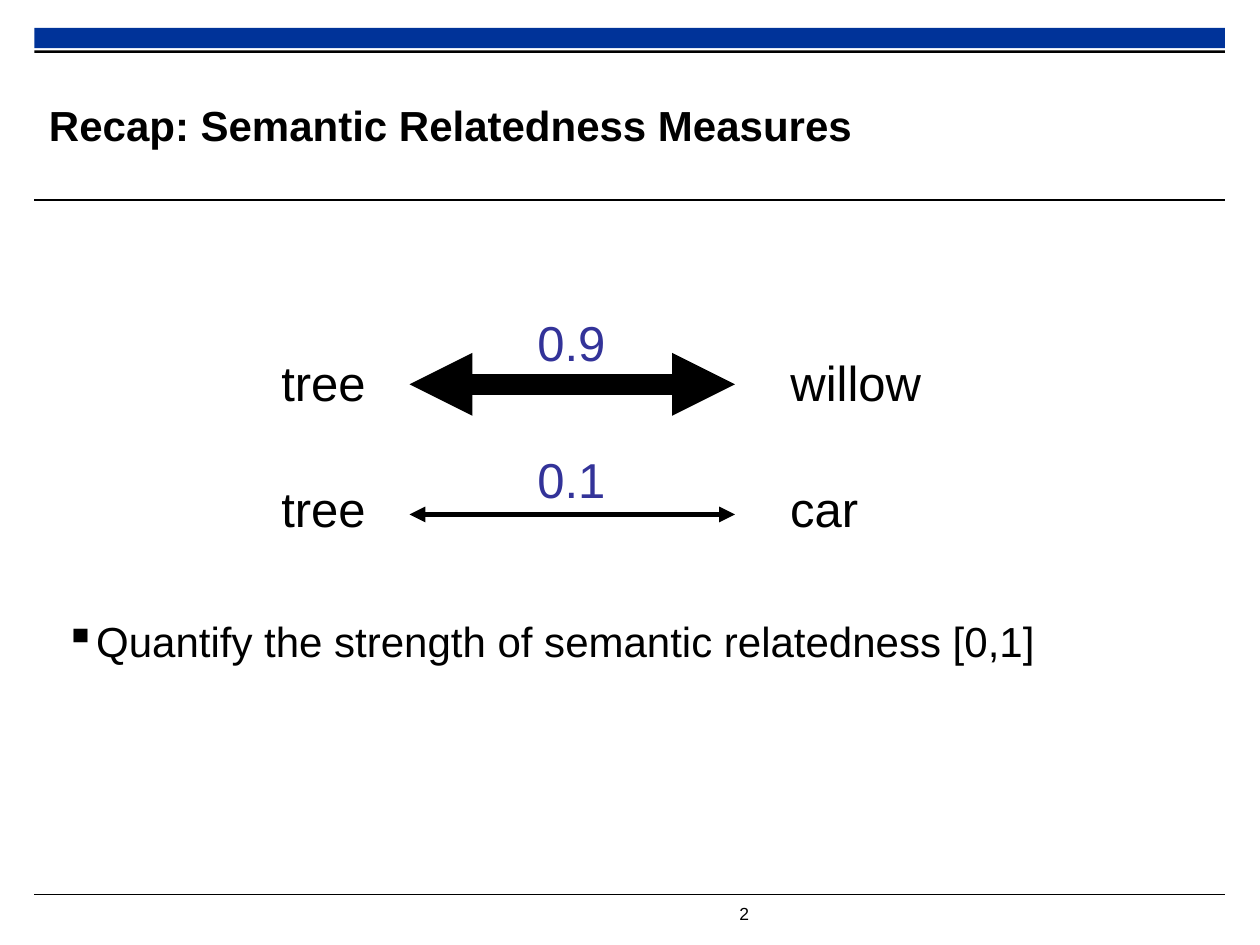
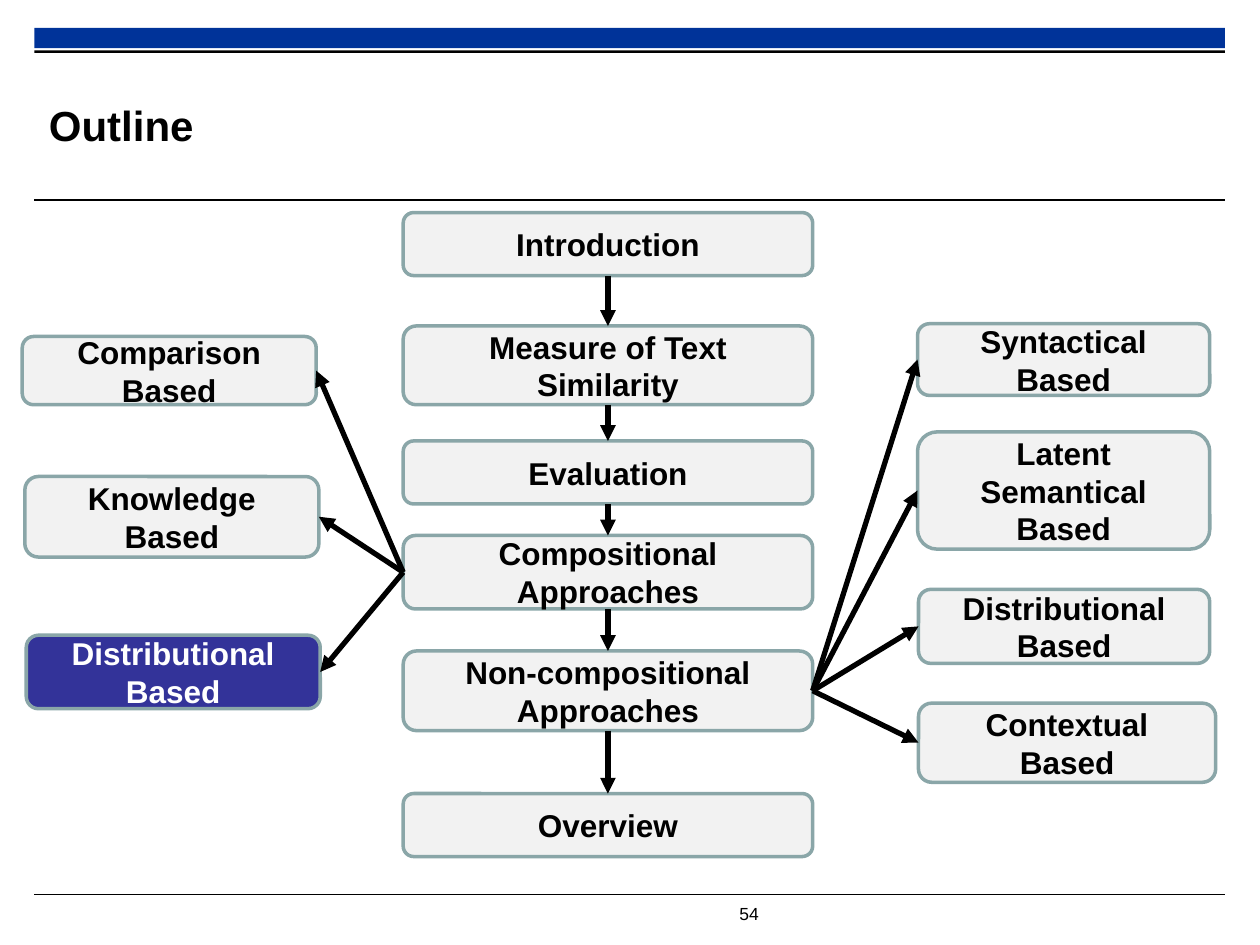
from lxml import etree
from pptx import Presentation
from pptx.dml.color import RGBColor
from pptx.enum.shapes import MSO_CONNECTOR, MSO_SHAPE
from pptx.enum.text import MSO_ANCHOR, PP_ALIGN
from pptx.oxml.ns import qn
from pptx.util import Pt

BLACK = RGBColor(0x00, 0x00, 0x00)
WHITE = RGBColor(0xFF, 0xFF, 0xFF)
BAND_BLUE = RGBColor(0x00, 0x33, 0x99)
INDIGO = RGBColor(0x33, 0x33, 0x99)
BOX_GREY = RGBColor(0xF2, 0xF2, 0xF2)
BORDER = RGBColor(0x8A, 0xA6, 0xA8)

LEFT, CENTER, RIGHT = PP_ALIGN.LEFT, PP_ALIGN.CENTER, PP_ALIGN.RIGHT
TOP_ANCHOR, MIDDLE_ANCHOR = MSO_ANCHOR.TOP, MSO_ANCHOR.MIDDLE
RECTANGLE, ROUNDED = MSO_SHAPE.RECTANGLE, MSO_SHAPE.ROUNDED_RECTANGLE
STRAIGHT = MSO_CONNECTOR.STRAIGHT
TOP_SIDE, LEFT_SIDE, BOTTOM_SIDE, RIGHT_SIDE = range(4)


class Deck:
    """Holds the shared style and the current slide."""

    font_name = "Arial"

    def __init__(self):
        self.presentation = Presentation()
        self.presentation.slide_width = Pt(720)
        self.presentation.slide_height = Pt(540)
        self.slide = None

    def new_slide(self, title, number):
        self.slide = self.presentation.slides.add_slide(self.presentation.slide_layouts[6])
        # Bands and rules
        self.band(16, 11.5, BAND_BLUE)
        self.band(28.8, 1.4, BLACK)
        for y in (114.3, 511.2):
            self.line((19.6, y), (700, y), 0.6)
        # Page number and title
        self.text(str(number), (415.4, 512.6, 34.6, 19.4), 10)
        title_box = self.text(title, (28, 38, 512, 66), 24, bold=True, anchor=MIDDLE_ANCHOR)
        frame = title_box.text_frame
        frame.margin_left = frame.margin_right = frame.margin_top = frame.margin_bottom = 0

    def shape(self, kind, place, fill):
        shape = self.slide.shapes.add_shape(kind, *map(Pt, place))
        shape.shadow.inherit = False
        shape.fill.solid()
        shape.fill.fore_color.rgb = fill
        return shape

    def band(self, top, height, color):
        self.shape(RECTANGLE, (19.6, top, 680.4, height), color).line.fill.background()

    def set_text(self, shape, text, size, color, bold, align, anchor):
        frame = shape.text_frame
        frame.word_wrap = True
        frame.vertical_anchor = anchor
        frame.text = text
        paragraph = frame.paragraphs[0]
        paragraph.alignment = align
        font = paragraph.runs[0].font
        font.name, font.size, font.bold = self.font_name, Pt(size), bold
        font.color.rgb = color

    def text(self, text, place, size, color=BLACK, bold=False, align=LEFT, anchor=TOP_ANCHOR):
        box = self.slide.shapes.add_textbox(*map(Pt, place))
        self.set_text(box, text, size, color, bold, align, anchor)
        return box

    def bullet(self, text, place, size):
        box = self.text(text, place, size)
        properties = box.text_frame.paragraphs[0]._p.get_or_add_pPr()
        properties.set("marL", str(Pt(14)))
        properties.set("indent", str(-Pt(14)))
        etree.SubElement(properties, qn("a:buChar")).set("char", "▪")

    def node(self, text, place, fill=BOX_GREY, color=BLACK):
        node = self.shape(ROUNDED, place, fill)
        node.line.color.rgb = BORDER
        node.line.width = Pt(2)
        self.set_text(node, text, 18, color, True, CENTER, MIDDLE_ANCHOR)
        return node

    def line(self, start, end, width, arrowheads=()):
        connector = self.slide.shapes.add_connector(STRAIGHT, *map(Pt, (*start, *end)))
        connector.line.color.rgb = BLACK
        connector.line.width = Pt(width)
        properties = connector._element.spPr
        for head in arrowheads:
            etree.SubElement(properties.find(qn("a:ln")), qn(f"a:{head}")).set("type", "triangle")
        etree.SubElement(properties, qn("a:effectLst"))
        return connector

    def link(self, source, source_side, target, target_side):
        connector = self.line((0, 0), (0, 0), 3, ["tailEnd"])
        connector.begin_connect(source, source_side)
        connector.end_connect(target, target_side)


def build_recap(deck):
    deck.new_slide("Recap: Semantic Relatedness Measures", 2)
    # Word pairs: word, related word and its left, score, text top, score top, arrow y, width
    pairs = [
        ("tree", "willow", 432, "0.9", 198, 175, 219.6, 12),
        ("tree", "car", 414, "0.1", 270, 253.4, 294, 3),
    ]
    for word, related, left, score, top, score_top, arrow_y, width in pairs:
        deck.text(word, (96, top, 120, 36), 28, align=RIGHT)
        deck.line((234, arrow_y), (420, arrow_y), width, ["headEnd", "tailEnd"])
        deck.text(score, (300, score_top, 90, 41), 28, INDIGO)
        deck.text(related, (left, top, 114, 36), 28, align=CENTER)
    deck.bullet("Quantify the strength of semantic relatedness [0,1]", (30, 348, 660, 96), 24)


def build_outline(deck):
    deck.new_slide("Outline", 54)
    # Main sequence
    steps = [
        deck.node(text, (230.4, top, 234, height))
        for text, top, height in [
            ("Introduction", 121.5, 36),
            ("Measure of Text Similarity", 186.3, 45),
            ("Evaluation", 252, 36),
            ("Compositional Approaches", 306, 42),
            ("Non-compositional Approaches", 372, 45.5),
            ("Overview", 453.5, 36),
        ]
    ]
    for step, following in zip(steps, steps[1:]):
        deck.link(step, BOTTOM_SIDE, following, TOP_SIDE)
    compositional, non_compositional = steps[3:5]

    # Compositional branches
    for text, place, *colors in [
        ("Comparison Based", (12.7, 192.3, 168, 39)),
        ("Knowledge Based", (14.2, 272.3, 168, 46)),
        ("Distributional Based", (15, 363, 168, 42), INDIGO, WHITE),
    ]:
        branch = deck.node(text, place, *colors)
        deck.link(compositional, LEFT_SIDE, branch, RIGHT_SIDE)

    # Non-compositional branches
    for text, place in [
        ("Syntactical Based", (524.3, 185, 167, 41)),
        ("Latent Semantical Based", (524.3, 246.8, 167, 67)),
        ("Distributional Based", (524.9, 336.8, 166.4, 42.3)),
        ("Contextual Based", (524.9, 401.8, 169.8, 45.2)),
    ]:
        branch = deck.node(text, place)
        deck.link(non_compositional, RIGHT_SIDE, branch, LEFT_SIDE)


def main():
    deck = Deck()
    build_recap(deck)
    build_outline(deck)
    deck.presentation.save("out.pptx")


if __name__ == "__main__":
    main()
